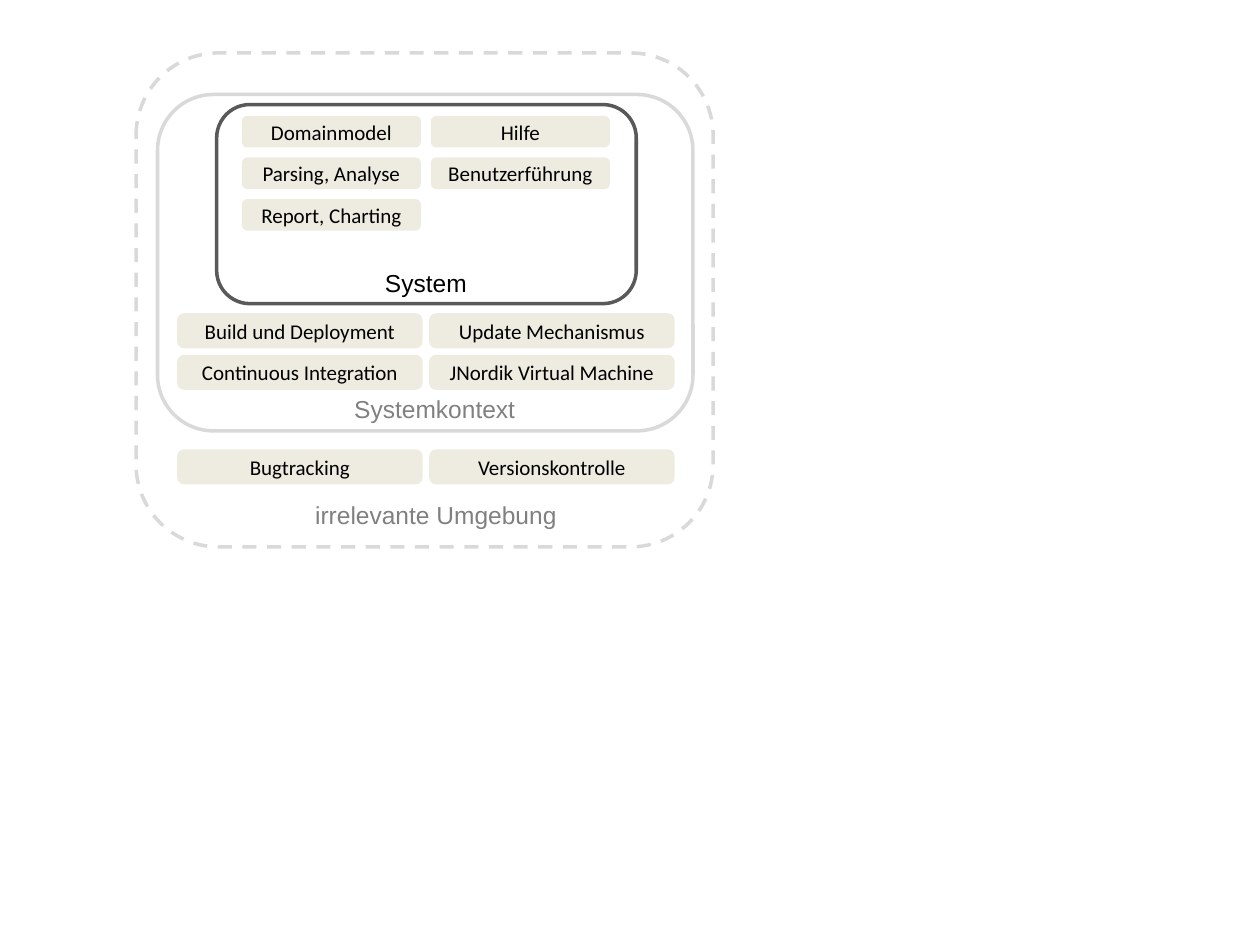
"""Build a slide showing a system, its context and the irrelevant environment."""
from pptx import Presentation
from pptx.dml.color import RGBColor
from pptx.enum.dml import MSO_LINE_DASH_STYLE as Dash
from pptx.enum.shapes import MSO_SHAPE as Shape
from pptx.enum.text import MSO_ANCHOR as Anchor, MSO_AUTO_SIZE as AutoSize, PP_ALIGN as Align
from pptx.util import Inches, Pt

COLORS = {"white": "FFFFFF", "black": "000000", "gray": "808080",
          "light": "D9D9D9", "dark": "595959", "beige": "EEECE1"}

FRAMES = [
    {"box": (1.08, 0.42, 4.58, 3.92), "line": "light", "dash": Dash.DASH},
    {"box": (1.25, 0.75, 4.25, 2.67), "line": "light", "dash": None},
    {"box": (1.72, 0.83, 3.33, 1.58), "line": "dark", "dash": None},
]
LABELS = [
    ("System", (2.64, 2.08, 1.48, 0.34), "black"),
    ("Systemkontext", (2.24, 3.08, 2.42, 0.34), "gray"),
    ("irrelevante Umgebung", (2.25, 3.92, 2.42, 0.34), "gray"),
]
GROUPS = [
    {"left": 1.92, "top": 0.92, "width": 1.42, "line": None,
     "rows": [("Domainmodel", "Hilfe"),
              ("Parsing, Analyse", "Benutzerführung"),
              ("Report, Charting",)]},
    {"left": 1.42, "top": 2.5, "width": 1.92, "line": "beige",
     "rows": [("Build und Deployment", "Update Mechanismus"),
              ("Continuous Integration", "JNordik Virtual Machine")]},
    {"left": 1.42, "top": 3.58, "width": 1.92, "line": "beige",
     "rows": [("Bugtracking", "Versionskontrolle")]},
]
TILE_HEIGHT, COLUMN_GAP, ROW_PITCH = 0.25, 0.08, 0.33


def color(name):
    return RGBColor.from_string(COLORS[name])


def add_round_box(slide, box, fill, line, dash=None):
    shape = slide.shapes.add_shape(Shape.ROUNDED_RECTANGLE, *map(Inches, box))
    shape.shadow.inherit = False
    shape.fill.solid()
    shape.fill.fore_color.rgb = color(fill)
    if line:
        shape.line.color.rgb = color(line)
        shape.line.width = Pt(2)
        shape.line.dash_style = dash
    else:
        shape.line.fill.background()
    return shape


def write(shape, text, font, size, text_color):
    shape.text_frame.word_wrap = True
    paragraph = shape.text_frame.paragraphs[0]
    paragraph.alignment = Align.CENTER
    run = paragraph.add_run()
    run.text = text
    run.font.name = font
    run.font.size = Pt(size)
    run.font.color.rgb = color(text_color)


def add_group(slide, group):
    for row, names in enumerate(group["rows"]):
        for column, name in enumerate(names):
            left = group["left"] + column * (group["width"] + COLUMN_GAP)
            top = group["top"] + row * ROW_PITCH
            tile = add_round_box(slide, (left, top, group["width"], TILE_HEIGHT),
                                 "beige", group["line"])
            tile.text_frame.vertical_anchor = Anchor.MIDDLE
            write(tile, name, "Calibri", 12, "black")


def main():
    presentation = Presentation()
    presentation.slide_width, presentation.slide_height = Inches(10), Inches(7.5)
    slide = presentation.slides.add_slide(presentation.slide_layouts[6])
    for frame in FRAMES:
        add_round_box(slide, frame["box"], "white", frame["line"], frame["dash"])
    for text, box, text_color in LABELS:
        label = slide.shapes.add_textbox(*map(Inches, box))
        label.text_frame.auto_size = AutoSize.SHAPE_TO_FIT_TEXT
        write(label, text, "Arial", 14, text_color)
    for group in GROUPS:
        add_group(slide, group)
    presentation.save("out.pptx")


if __name__ == "__main__":
    main()
